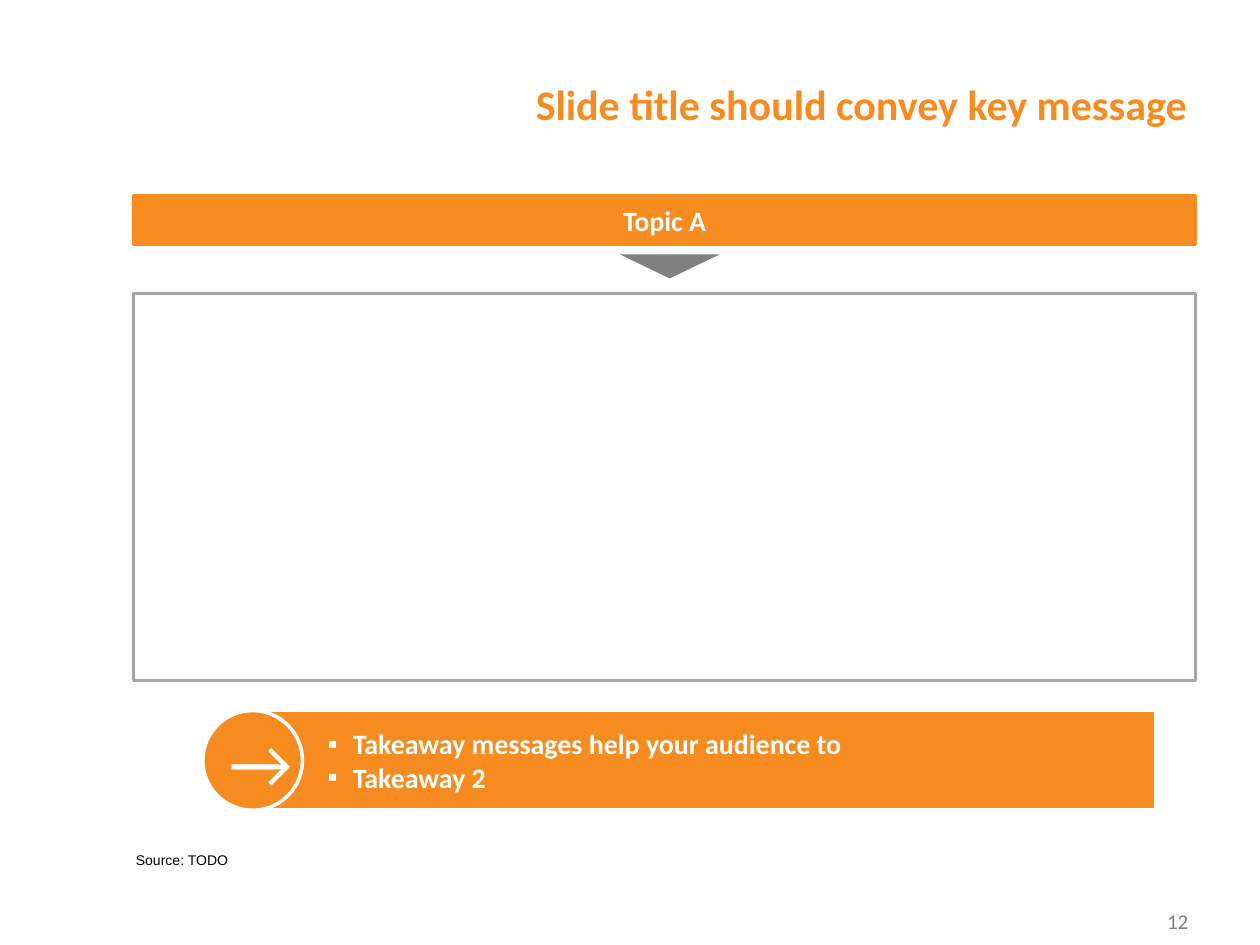
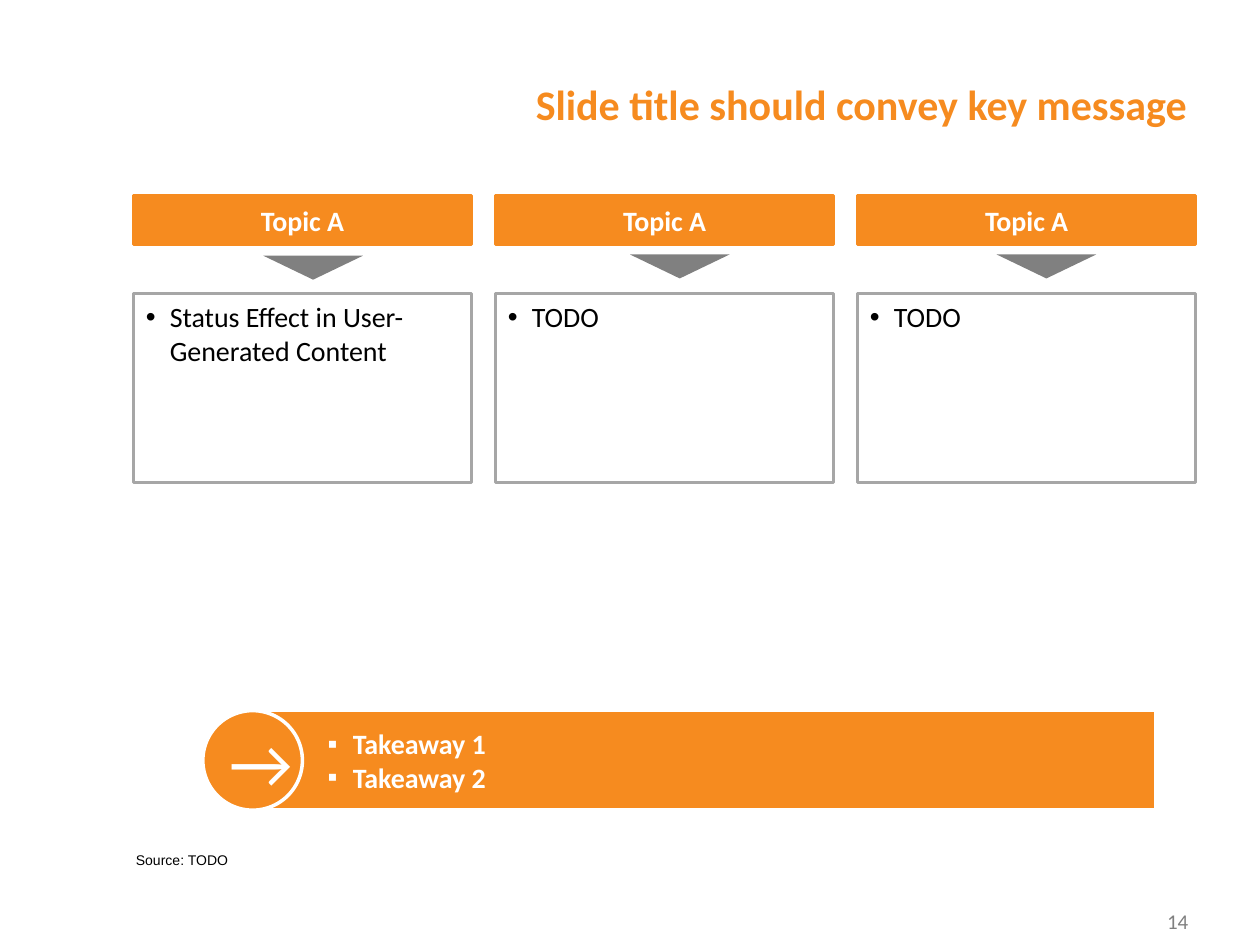
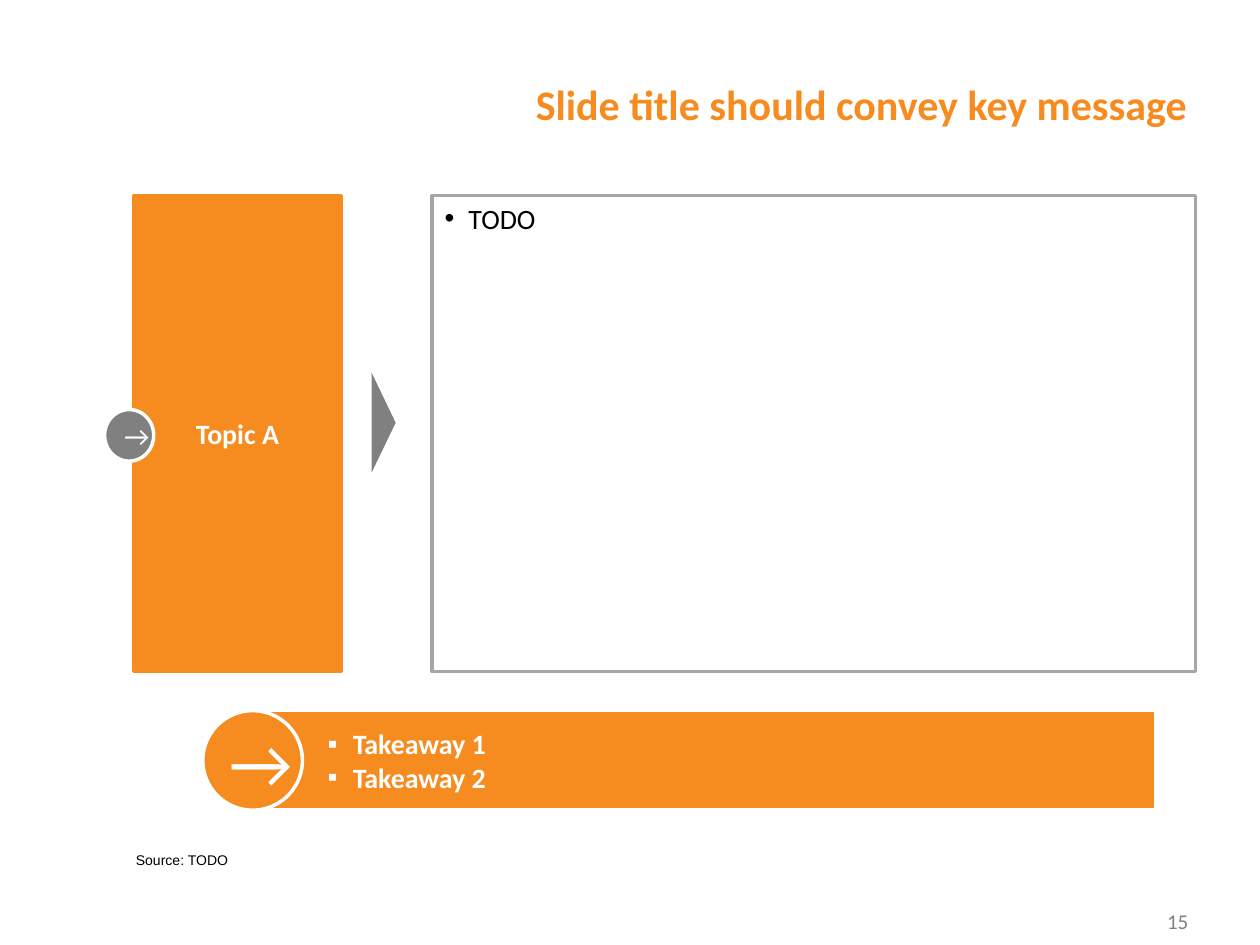
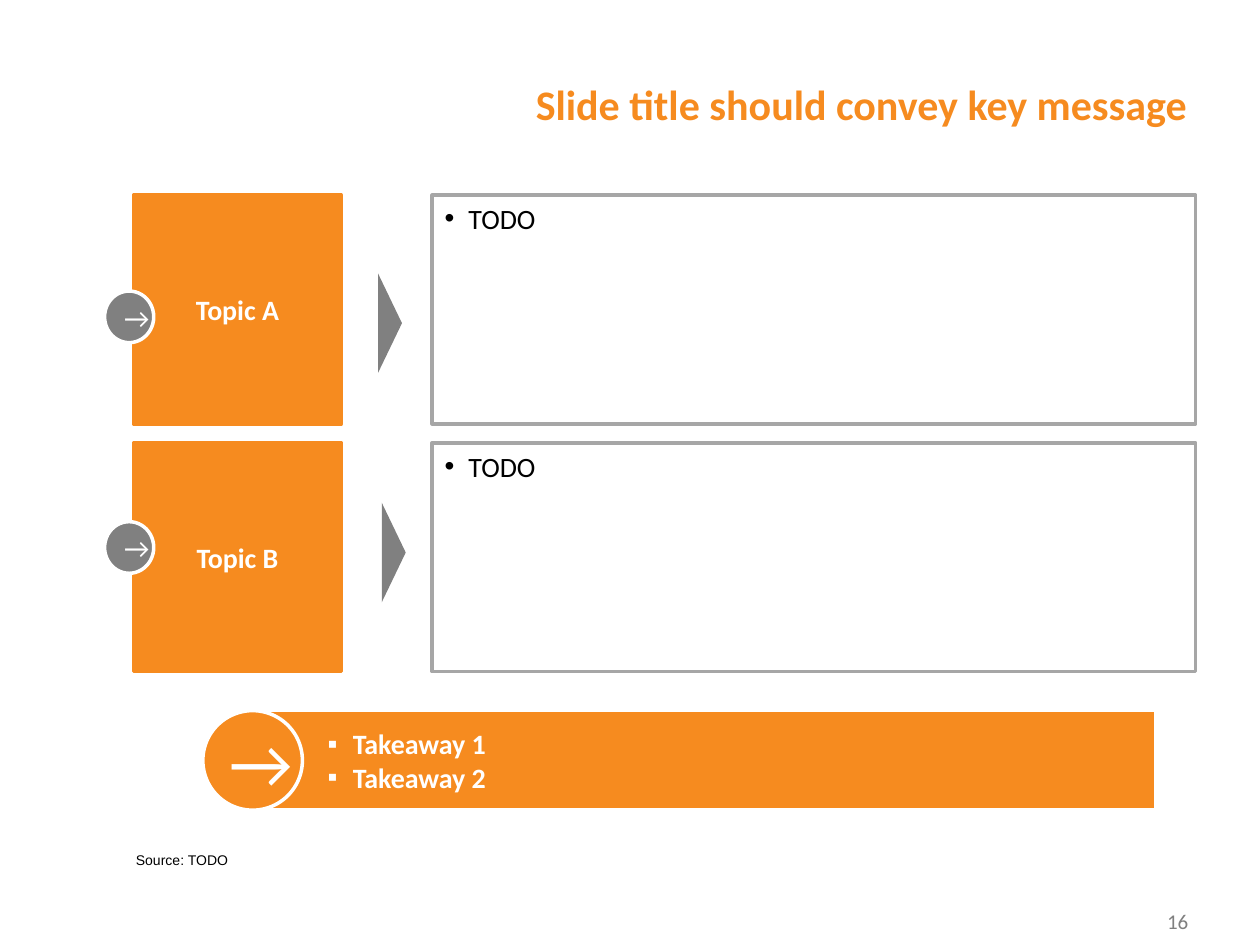
from lxml.etree import SubElement
from pptx import Presentation
from pptx.dml.color import RGBColor
from pptx.enum.shapes import MSO_SHAPE
from pptx.enum.text import MSO_ANCHOR, PP_ALIGN
from pptx.oxml.ns import qn
from pptx.util import Inches, Pt

COLORS = {
    "orange": "F68B1F",
    "white": "FFFFFF",
    "gray": "808080",
    "frame": "A6A6A6",
    "black": "000000",
}
TITLE = "Slide title should convey key message"
SOURCE = "Source: TODO"
ARROW = "→"

# Each topic: heading, body text, marker (left, top), badge top (rows only)
SLIDES = [
    {"number": 12, "layout": "columns", "body_height": 3.07,
     "topics": [("Topic A", "", (4.92, 2.02), None)],
     "takeaways": ["Takeaway messages help your audience to", "Takeaway 2"]},
    {"number": 14, "layout": "columns", "body_height": 1.5,
     "topics": [("Topic A", "Status Effect in User-Generated Content", (2.09, 2.03), None),
                ("Topic A", "TODO", (5, 2.02), None),
                ("Topic A", "TODO", (7.91, 2.02), None)],
     "takeaways": ["Takeaway 1", "Takeaway 2"]},
    {"number": 15, "layout": "rows",
     "topics": [("Topic A", "TODO", (2.65, 3.26), 3.25)],
     "takeaways": ["Takeaway 1", "Takeaway 2"]},
    {"number": 16, "layout": "rows",
     "topics": [("Topic A", "TODO", (2.7, 2.47), 2.31),
                ("Topic B", "TODO", (2.73, 4.29), 4.14)],
     "takeaways": ["Takeaway 1", "Takeaway 2"]},
]

# Content area in inches
LEFT, TOP, WIDTH, HEIGHT = 1.06, 1.55, 8.43, 3.78
COLUMN_GAP, ROW_GAP = 0.19, 0.15
HEADING_HEIGHT, BODY_TOP = 0.39, 2.33
HEADING_WIDTH, BODY_LEFT = 1.65, 3.43
MARKER_SIZE = (0.79, 0.19)


def color(name):
    return RGBColor.from_string(COLORS[name])


def write(shape, lines, size, ink, bold=False, font="Calibri",
          align=PP_ALIGN.LEFT, anchor=MSO_ANCHOR.TOP, bullet=None, indent=0.19):
    frame = shape.text_frame
    frame.word_wrap = True
    frame.vertical_anchor = anchor
    frame.text = "\n".join(lines)
    for paragraph in frame.paragraphs:
        paragraph.alignment = align
        if bullet:
            properties = paragraph._p.get_or_add_pPr()
            properties.set("marL", str(Inches(indent)))
            properties.set("indent", str(-Inches(indent)))
            SubElement(properties, qn("a:buFont")).set("typeface", "Arial")
            SubElement(properties, qn("a:buChar")).set("char", bullet)
        for run in paragraph.runs:
            run.font.name = font
            run.font.size = Pt(size)
            run.font.bold = bold
            run.font.color.rgb = color(ink)
    return frame


def add_box(shapes, kind, box, fill=None, line=None):
    shape = shapes.add_shape(kind, *map(Inches, box))
    shape.shadow.inherit = False
    if fill:
        shape.fill.solid()
        shape.fill.fore_color.rgb = color(fill)
    else:
        shape.fill.background()
    if line:
        shape.line.color.rgb = color(line)
        shape.line.width = Pt(2)
    else:
        shape.line.fill.background()
    return shape


def add_text(slide, box, text, size, ink, **style):
    return write(slide.shapes.add_textbox(*map(Inches, box)), [text], size, ink, **style)


def add_badge(shapes, box, fill, size):
    """Round badge holding an arrow."""
    badge = add_box(shapes, MSO_SHAPE.OVAL, box, fill, "white")
    write(badge, [ARROW], size, "white", align=PP_ALIGN.CENTER, anchor=MSO_ANCHOR.MIDDLE)


def add_marker(slide, position, rotation):
    """Triangle that leads from a heading to its body."""
    marker = add_box(slide.shapes, MSO_SHAPE.ISOSCELES_TRIANGLE, position + MARKER_SIZE, "gray")
    marker._element.spPr.xfrm.set("flipV", "1")
    marker.rotation = rotation


def add_takeaways(slide, lines):
    shapes = slide.shapes.add_group_shape().shapes
    bar = add_box(shapes, MSO_SHAPE.RECTANGLE, (2.01, 5.64, 7.16, 0.79), "orange", "white")
    frame = write(bar, lines, 16, "white", bold=True, anchor=MSO_ANCHOR.MIDDLE,
                  bullet="▪", indent=0.2)
    frame.margin_left = Inches(0.59)
    add_badge(shapes, (1.61, 5.64, 0.79, 0.79), "orange", 40)


def topic_boxes(content, index):
    """Heading box and body box of one topic."""
    count = len(content["topics"])
    if content["layout"] == "columns":
        width = (WIDTH - COLUMN_GAP * (count - 1)) / count
        left = LEFT + index * (width + COLUMN_GAP)
        return ((left, TOP, width, HEADING_HEIGHT),
                (left, BODY_TOP, width, content["body_height"]))
    height = (HEIGHT - ROW_GAP * (count - 1)) / count
    top = TOP + index * (height + ROW_GAP)
    return ((LEFT, top, HEADING_WIDTH, height),
            (BODY_LEFT, top, LEFT + WIDTH - BODY_LEFT, height))


def add_topic(slide, content, index):
    heading, text, marker, badge_top = content["topics"][index]
    heading_box, body_box = topic_boxes(content, index)
    body = add_box(slide.shapes, MSO_SHAPE.RECTANGLE, body_box, line="frame")
    if text:
        write(body, [text], 16, "black", bullet="•")
    header = add_box(slide.shapes, MSO_SHAPE.RECTANGLE, heading_box, "orange", "orange")
    write(header, [heading], 16, "white", bold=True,
          align=PP_ALIGN.CENTER, anchor=MSO_ANCHOR.MIDDLE)
    add_marker(slide, marker, 0 if content["layout"] == "columns" else 270)
    if badge_top:
        add_badge(slide.shapes, (0.83, badge_top, 0.39, 0.41), "gray", 16)


def add_slide(presentation, content):
    slide = presentation.slides.add_slide(presentation.slide_layouts[6])
    title = add_text(slide, (3.35, 0, 6.17, 1.07), TITLE, 24, "orange", bold=True,
                     align=PP_ALIGN.RIGHT, anchor=MSO_ANCHOR.BOTTOM)
    title.paragraphs[0].line_spacing = Pt(29)
    add_text(slide, (7.2, 7.16, 2.33, 0.37), str(content["number"]), 12, "gray",
             align=PP_ALIGN.RIGHT)
    for index in range(len(content["topics"])):
        add_topic(slide, content, index)
    add_takeaways(slide, content["takeaways"])
    add_text(slide, (0.98, 6.71, 4.17, 0.23), SOURCE, 8, "black", font="Arial")


def main():
    presentation = Presentation()
    presentation.slide_width = Inches(10)
    presentation.slide_height = Inches(7.5)
    for content in SLIDES:
        add_slide(presentation, content)
    presentation.save("out.pptx")


if __name__ == "__main__":
    main()
